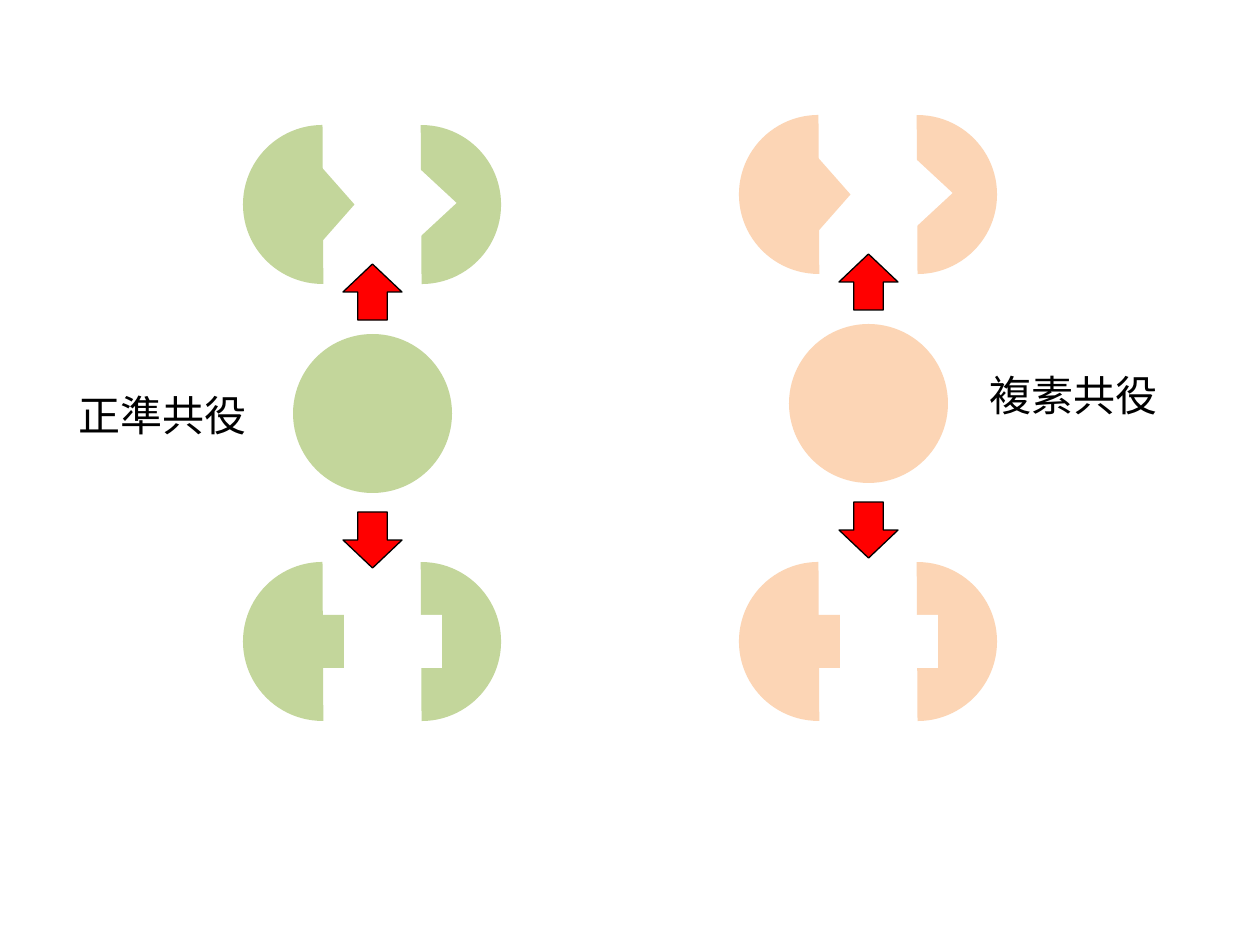
from pptx import Presentation
from pptx.dml.color import RGBColor
from pptx.enum.shapes import MSO_SHAPE
from pptx.enum.text import MSO_AUTO_SIZE
from pptx.util import Emu, Pt

CIRCLE = MSO_SHAPE.OVAL
CHORD = MSO_SHAPE.CHORD
RECTANGLE = MSO_SHAPE.RECTANGLE
TRIANGLE = MSO_SHAPE.ISOSCELES_TRIANGLE
ARROW = MSO_SHAPE.UP_ARROW
FIT_SHAPE = MSO_AUTO_SIZE.SHAPE_TO_FIT_TEXT

PX = 914400 / 126
COLORS = {
    "green": "C3D69B",
    "peach": "FCD5B5",
    "red": "FF0000",
    "white": "FFFFFF",
    "black": "000000",
}
DIAMETER = 159
HALF_ANGLES = (53.63, 162)


def px(length):
    return Emu(round(length * PX))


def color(name):
    return RGBColor.from_string(COLORS[name])


def write(paragraph, text, size=24, font="Calibri", ink="black"):
    span = paragraph.add_run()
    span.text = text
    span.font.size = Pt(size)
    span.font.name = font
    span.font.color.rgb = color(ink)


class Sketch:
    def __init__(self, slide):
        self.slide = slide

    def shape(self, kind, bounds, fill, rotation=0, line=None, group=None):
        parent = group or self.slide
        shape = parent.shapes.add_shape(kind, *map(px, bounds))
        shape.shadow.inherit = False
        shape.rotation = rotation
        shape.fill.solid()
        shape.fill.fore_color.rgb = color(fill)
        if line:
            shape.line.color.rgb = color(line)
            shape.line.width = Pt(0.75)
        else:
            shape.line.fill.background()
        return shape

    def half(self, left, top, fill, rotation, key, key_bounds, key_fill, key_rotation):
        group = self.slide.shapes.add_group_shape()
        chord = self.shape(CHORD, (left, top, DIAMETER, DIAMETER), fill, rotation, group=group)
        for index, angle in enumerate(HALF_ANGLES):
            chord.adjustments[index] = angle
        x, y, width, height = key_bounds
        self.shape(key, (left + x, top + y, width, height), key_fill, key_rotation, group=group)

    def arrow(self, left, top, rotation=0):
        self.shape(ARROW, (left, top, 59, 56), "red", rotation, line="black")

    def label(self, left, top, text):
        box = self.slide.shapes.add_textbox(*map(px, (left, top, 195, 63)))
        box.text_frame.word_wrap = False
        box.text_frame.auto_size = FIT_SHAPE
        write(box.text_frame.paragraphs[0], text)

    def splitting(self, left, top, fill):
        self.shape(CIRCLE, (left + 50, top + 209, DIAMETER, DIAMETER), fill)
        splits = (
            (562, RECTANGLE, 0, (79, 53, 22, 53), (73, 53, 27, 53)),
            (top, TRIANGLE, 90, (51, 61, 84, 37), (46, 54, 89, 48)),
        )
        for half_top, key, rotation, tab, notch in splits:
            self.half(left, half_top, fill, 0, key, tab, fill, rotation)
            self.half(left + 99, half_top, fill, 180, key, notch, "white", rotation)
        self.arrow(left + 100, top + 387, 180)
        self.arrow(left + 100, top + 139)


def main():
    deck = Presentation()
    deck.slide_width = px(1260)
    deck.slide_height = px(945)
    sketch = Sketch(deck.slides.add_slide(deck.slide_layouts[6]))
    sketch.splitting(243, 125, "green")
    sketch.label(66, 383, "正準共役")
    sketch.splitting(739, 115, "peach")
    sketch.label(977, 363, "複素共役")
    deck.save("out.pptx")


if __name__ == "__main__":
    main()
